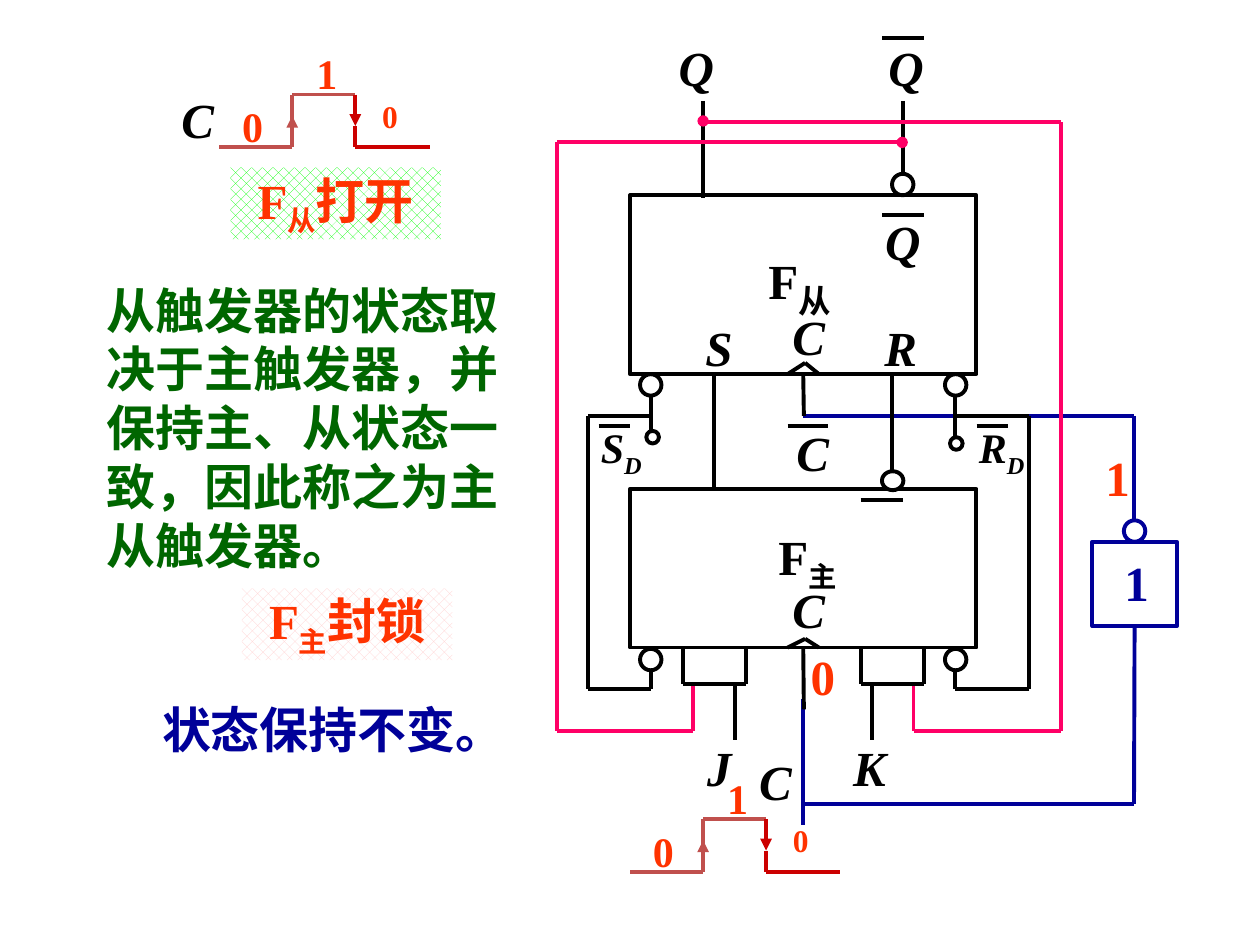
from lxml import etree
from pptx import Presentation
from pptx import util as u
from pptx.dml.color import RGBColor
from pptx.enum import dml, shapes, text
from pptx.oxml.ns import qn

COLORS = {"black": "000000", "white": "FFFFFF", "blue": "000099", "pink": "FF0066",
          "orange": "FF3300", "red": "CC0000", "brick": "C0504D",
          "green": "006600", "lime": "00FF00", "rose": "FFCCCC"}
rgb = {name: RGBColor.from_string(value) for name, value in COLORS.items()}

presentation = Presentation()
presentation.slide_width, presentation.slide_height = u.Inches(10), u.Inches(7.5)
slide = presentation.slides.add_slide(presentation.slide_layouts[6])


def add_wire(color, *points, arrow=False):
    """Join the points with straight connectors and return them."""
    lines = []
    for start, end in zip(points, points[1:]):
        line = slide.shapes.add_connector(
            shapes.MSO_CONNECTOR.STRAIGHT, *map(u.Inches, start + end))
        line.line.color.rgb = rgb[color]
        line.line.width = u.Pt(2.25)
        properties = line._element.spPr
        if arrow:
            outline = properties.find(qn("a:ln"))
            etree.SubElement(outline, qn("a:tailEnd"), type="triangle")
        etree.SubElement(properties, qn("a:effectLst"))
        lines.append(line)
    return lines


def write(shape, content, color="black", size=28, italic=False, centred=True,
          middle=True, wrap=False, sub_size=None):
    """Write text; the parts between bars alternate normal and subscript."""
    frame = shape.text_frame
    frame.word_wrap = wrap
    frame.auto_size = text.MSO_AUTO_SIZE.SHAPE_TO_FIT_TEXT
    frame.vertical_anchor = text.MSO_ANCHOR.MIDDLE if middle else text.MSO_ANCHOR.TOP
    paragraph = frame.paragraphs[0]
    paragraph.alignment = text.PP_ALIGN.CENTER if centred else text.PP_ALIGN.LEFT
    for index, part in enumerate(content.split("|")):
        run = paragraph.add_run()
        run.text = part
        subscript = index % 2 == 1
        formats = {"name": "Times New Roman", "bold": True, "italic": italic,
                   "size": u.Pt(sub_size if subscript and sub_size else size)}
        for name, value in formats.items():
            setattr(run.font, name, value)
        run.font.color.rgb = rgb[color]
        if subscript:
            run._r.get_or_add_rPr().set("baseline", "-25000")


# Explanation on the left
for content, box, color, centred in [
    ("状态保持不变。", (1.17, 5.5, 2.95, 0.57), "blue", True),
    ("从触发器的状态取决于主触发器，并保持主、从状态一致，因此称之为主从触发器。",
     (0.75, 2.17, 3.58, 2.44), "green", False),
]:
    write(slide.shapes.add_textbox(*map(u.Inches, box)), content, color,
          centred=centred, wrap=True)

for content, left, top, color in [("F|从|打开", 1.83, 1.33, "lime"),
                                  ("F|主|封锁", 1.92, 4.67, "rose")]:
    tag = slide.shapes.add_shape(shapes.MSO_SHAPE.RECTANGLE, u.Inches(left),
                                 u.Inches(top), u.Inches(1.67), u.Inches(0.57))
    tag.shadow.inherit = False
    tag.fill.patterned()
    tag.fill.pattern = dml.MSO_PATTERN.from_xml("pct40")
    tag.fill.fore_color.rgb = rgb[color]
    tag.fill.back_color.rgb = rgb["white"]
    tag.line.fill.background()
    write(tag, content, "orange", wrap=True)

# Flip-flop boxes and inverter
blocks = {}
for name, box, color in [("slave", (5, 1.55, 2.75, 1.42), "black"),
                         ("master", (5, 3.88, 2.75, 1.26), "black"),
                         ("inverter", (8.67, 4.3, 0.67, 0.67), "blue")]:
    block = slide.shapes.add_shape(shapes.MSO_SHAPE.RECTANGLE, *map(u.Inches, box))
    block.shadow.inherit = False
    block.fill.background()
    block.line.color.rgb = rgb[color]
    block.line.width = u.Pt(2.25)
    blocks[name] = block

# Clock wiring through the inverter
add_wire("blue", (6.37, 3.3), (9, 3.3), (9, 4.13))
inverter_input = add_wire("blue", (9, 4.97), (9, 6.38), (6.37, 6.38))[0]
inverter_input.begin_connect(blocks["inverter"], 2)
add_wire("blue", (6.37, 5.55), (6.37, 6.55))

# Output wires and feedback
add_wire("black", (5.58, 0.8), (5.58, 1.57))
add_wire("black", (7.17, 0.8), (7.17, 1.4))
add_wire("pink", (7.17, 1.13), (4.42, 1.13), (4.42, 5.8), (5.5, 5.8), (5.5, 5.42))
add_wire("pink", (5.58, 0.97), (8.42, 0.97), (8.42, 5.8), (7.25, 5.8), (7.25, 5.42))

# Wires between the flip-flops, set and reset loops
for points in [
    [(5.67, 2.97), (5.67, 3.88)],
    [(7.08, 2.97), (7.08, 3.75)],
    [(5.17, 3.13), (5.17, 3.47)],
    [(7.58, 3.13), (7.58, 3.47)],
    [(5.17, 3.3), (4.67, 3.3), (4.67, 5.47), (5.17, 5.47), (5.17, 5.3)],
    [(7.58, 3.3), (8.17, 3.3), (8.17, 5.47), (7.58, 5.47), (7.58, 5.3)],
    [(5.83, 5.43), (5.83, 5.87)],
    [(6.92, 5.43), (6.92, 5.87)],
]:
    add_wire("black", *points)
for left in (5.42, 6.83):
    add_wire("black", (left, 5.13), (left, 5.43), (left + 0.5, 5.43), (left + 0.5, 5.13))

# Clock inputs with edge marks
for name, bottom, peak, end in [("slave", 2.97, 2.88, 3.3),
                                ("master", 5.14, 5.07, 5.63)]:
    clock = add_wire("black", (6.38, bottom), (6.38, end))[0]
    clock.begin_connect(blocks[name], 2)
    add_wire("black", (6.25, bottom), (6.39, peak), (6.5, bottom))

# Inversion circles, terminals and junction dots
for left, top, width, height, fill, color, weight in [
    (7.08, 1.38, 0.17, 0.17, "white", "black", 2.25),
    (5.08, 2.97, 0.17, 0.17, "white", "black", 2.25),
    (7.5, 2.97, 0.17, 0.17, "white", "black", 2.25),
    (5.08, 5.15, 0.17, 0.17, "white", "black", 2.25),
    (7.5, 5.15, 0.17, 0.17, "white", "black", 2.25),
    (7, 3.74, 0.17, 0.15, "white", "black", 2.25),
    (8.92, 4.13, 0.17, 0.17, "white", "blue", 2.25),
    (5.13, 3.42, 0.1, 0.1, "white", "black", 2.25),
    (7.54, 3.47, 0.1, 0.1, "white", "black", 2.25),
    (5.54, 0.92, 0.08, 0.08, "pink", "pink", 0.75),
    (7.12, 1.09, 0.08, 0.08, "pink", "pink", 0.75),
]:
    circle = slide.shapes.add_shape(shapes.MSO_SHAPE.OVAL,
                                    *map(u.Inches, (left, top, width, height)))
    circle.shadow.inherit = False
    circle.fill.solid()
    circle.fill.fore_color.rgb = rgb[fill]
    circle.line.color.rgb = rgb[color]
    circle.line.width = u.Pt(weight)

# Overbars
for left, right, y in [(7, 7.33, 0.3), (7, 7.33, 1.71), (4.75, 5, 3.38),
                       (7.75, 8, 3.38), (6.25, 6.57, 3.38), (6.83, 7.17, 3.97)]:
    add_wire("black", (left, y), (right, y))

# Centred signal names
for content, left, top, width in [
    ("Q", 5.27, 0.25, 0.51), ("Q", 6.88, 0.25, 0.62), ("Q", 6.91, 1.63, 0.51),
    ("C", 6.2, 3.3, 0.5), ("J", 5.5, 5.8, 0.42), ("K", 6.64, 5.8, 0.52),
    ("C", 1.32, 0.66, 0.5), ("C", 5.86, 5.91, 0.59),
]:
    label = slide.shapes.add_textbox(*map(u.Inches, (left, top, width, 0.57)))
    write(label, content, italic=True)

# Left-aligned pin names and flip-flop names
for content, left, top, width, size, italic, sub_size in [
    ("R", 6.92, 2.47, 0.46, 28, True, None),
    ("S", 5.5, 2.47, 0.35, 28, True, None),
    ("C", 6.19, 2.38, 0.64, 28, True, None),
    ("C", 6.19, 4.55, 0.64, 28, True, None),
    ("F|从", 6, 1.88, 0.96, 28, False, 32),
    ("F|主", 6.08, 4.13, 0.98, 28, False, None),
    ("S|D", 4.67, 3.3, 0.75, 24, True, None),
    ("R|D", 7.67, 3.3, 0.75, 24, True, None),
]:
    label = slide.shapes.add_textbox(*map(u.Inches, (left, top, width, 0.57)))
    write(label, content, size=size, italic=italic, centred=False, middle=False,
          wrap=True, sub_size=sub_size)

# Logic levels
for content, left, top, color in [("1", 8.67, 3.5, "orange"), ("0", 6.33, 5.08, "orange"),
                                  ("1", 8.82, 4.33, "blue")]:
    level = slide.shapes.add_textbox(*map(u.Inches, (left, top, 0.4, 0.57)))
    write(level, content, color)

# Clock pulses
for x, y in [(1.74, 1.17), (5, 6.92)]:
    rise, fall, high = x + 0.58, x + 1.08, y - 0.42
    add_wire("brick", (x, y), (rise, y))
    add_wire("brick", (rise, y), (rise, y - 0.25), arrow=True)
    add_wire("brick", (rise, y - 0.17), (rise, high), (fall, high))
    add_wire("red", (fall, high), (fall, y - 0.17), arrow=True)
    add_wire("red", (fall, y - 0.17), (fall, y), (x + 1.67, y))
    for content, dx, dy, width, height, size in [("0", 0.08, 0.42, 0.37, 0.5, 24),
                                                 ("1", 0.67, 0.84, 0.37, 0.5, 24),
                                                 ("0", 1.19, 0.45, 0.33, 0.4, 18)]:
        level = slide.shapes.add_textbox(*map(u.Inches, (x + dx, y - dy, width, height)))
        write(level, content, "orange", size)

presentation.save("out.pptx")
